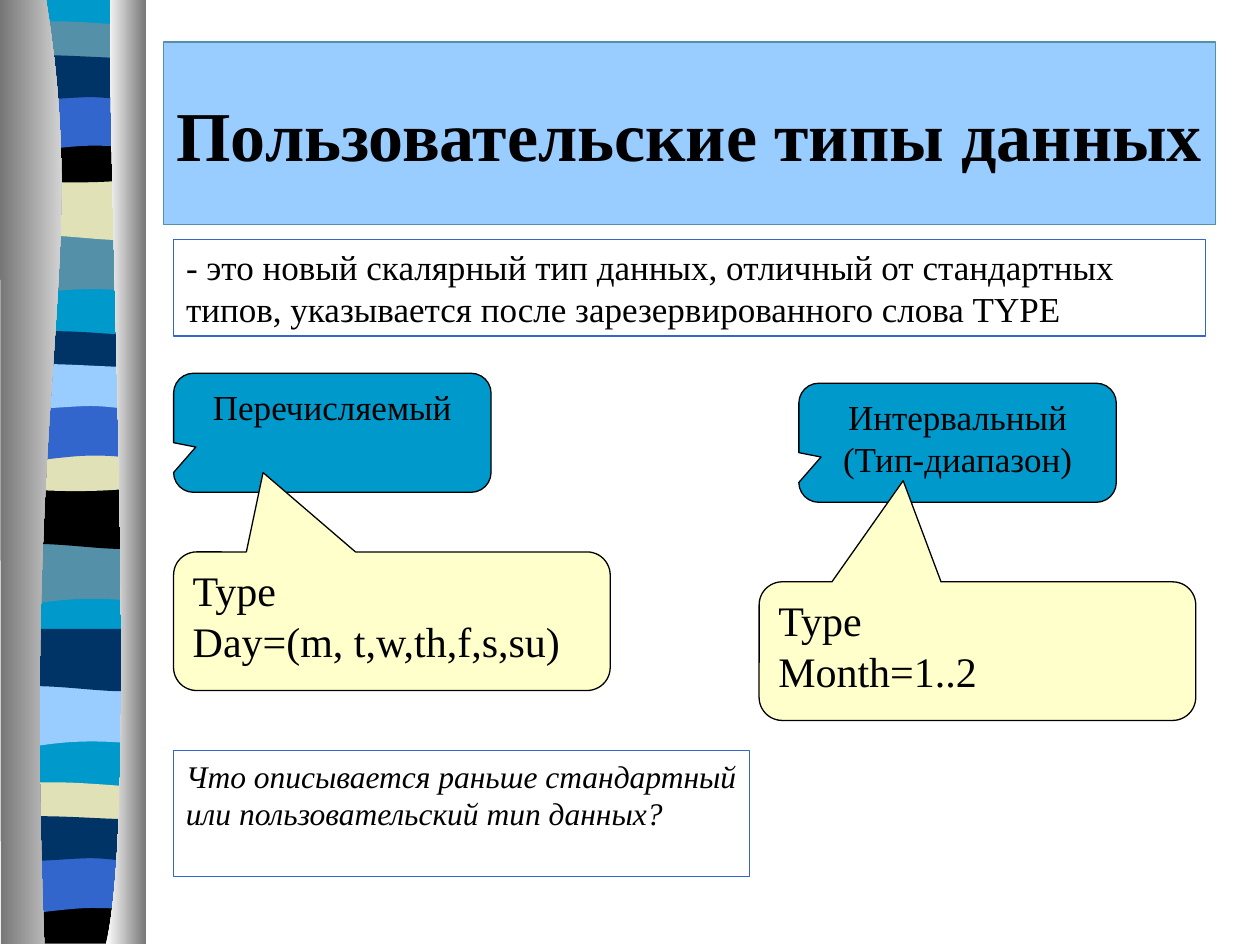
from dataclasses import dataclass

from pptx import Presentation
from pptx.dml.color import RGBColor
from pptx.enum.shapes import MSO_SHAPE as SHAPE
from pptx.enum.text import MSO_ANCHOR as ANCHOR, PP_ALIGN as ALIGN
from pptx.oxml.ns import qn
from pptx.util import Pt


@dataclass(frozen=True)
class Theme:
    font: str = "Times New Roman"
    black: str = "000000"
    navy: str = "003366"
    blue: str = "3366CC"
    cyan: str = "0099CC"
    steel: str = "5490A8"
    sky: str = "99CCFF"
    sand: str = "E1E1B7"
    cream: str = "FFFFCC"
    grey: str = "767676"
    white: str = "FFFFFF"
    title: int = 40
    code: int = 24
    body: int = 20
    question: int = 18


T = Theme()
STRIP_LEFT, STRIP_WIDTH, STRIP_HEIGHT = 4.2, 78, 538.5

# Outlines: a pair is a corner, six numbers are a Bezier curve.
# Each band has its outline, then (top, colour) for each place it is used.
BANDS = [
    ([(78, 0), (78, 34), (24, 28, 13, 39.5, 0, 34), (0, 0)],
     [(133, T.steel), (310, T.steel), (391.5, T.sky)]),
    ([(78, 0), (78, 34), (65, 39.5, 24, 29.5, 0, 34), (0, 0)],
     [(101.5, T.sand), (278, T.black), (359.3, T.navy)]),
    ([(78, 3.6), (78, 21), (65, 24, 13, 24, 0, 21), (0, 3.6),
      (4.5, 0, 16.5, 0.7, 29.5, 0.7), (42.5, 0.7, 68, 3, 78, 3.6)],
     [(11.5, T.steel), (188.6, T.navy), (446.4, T.sand)]),
    ([(78, 0), (78, 23.4), (65, 27.4, 13, 27.4, 0, 23.4), (0, 0),
      (47.5, 3.6, 61, 0, 78, 0)],
     [(77.8, T.black), (254.2, T.sand)]),
    ([(78, 0), (78, 26.7), (0, 26.7), (0, 0), (47.5, 3.6, 61, 0, 78, 0)],
     [(512.6, T.black)]),
    ([(78, 0), (78, 34), (65.5, 30, 60, 30, 47.5, 30),
      (34.5, 30, 11.5, 34, 0, 34), (0, 0)],
     [(53.3, T.blue), (230.4, T.blue), (488.9, T.blue)]),
    ([(78, 3.6), (78, 26), (73, 29.5, 60.5, 26, 47.5, 26),
      (34.5, 26, 8, 29.5, 0, 26), (0, 3.6), (11, 0, 52.5, 3.6, 65.5, 3.6),
      (79, 3.6, 75, 3.6, 78, 3.6)],
     [(29.5, T.navy), (206, T.sky), (464.4, T.navy)]),
]
LEFT_PILLAR = [(26.2, -0.5), (51.8, 155.5, 12.4, 213, 25.3, 539.5),
               (0.5, 539.5), (0, -0.5)]
RIGHT_PILLAR = [(63.3, -0.5), (60.5, 90, 80, 465, 60.5, 539.5),
                (83.6, 539.5), (83.6, 0)]


def rgb(color):
    return RGBColor.from_string(color)


def add_outline(shapes, outline, left=0, top=0):
    """Draw an outline through all its points, then bend the curved parts."""
    points = [(Pt(left + x), Pt(top + y)) for part in outline
              for x, y in zip(part[::2], part[1::2])]
    builder = shapes.build_freeform(*points[0])
    builder.add_line_segments(points[1:], close=True)
    sp = builder.convert_to_shape()
    sp.shadow.inherit = False
    sp.line.fill.background()
    segments = iter(sp._element.xpath(".//a:path/a:lnTo"))
    for part in outline[1:]:
        first = next(segments)
        if len(part) == 6:
            controls = [first, next(segments), next(segments)]
            curve = first.makeelement(qn("a:cubicBezTo"))
            first.addprevious(curve)
            for segment in controls:
                curve.append(segment[0])
                segment.getparent().remove(segment)
    return sp


def paint(sp, color):
    sp.fill.solid()
    sp.fill.fore_color.rgb = rgb(color)


def add_pillar(shapes, outline, colors):
    sp = add_outline(shapes, outline)
    sp.fill.gradient()
    sp.fill.gradient_angle = 0
    for stop, color in zip(sp.fill.gradient_stops, colors):
        stop.color.rgb = rgb(color)


def add_striped_column(shapes):
    w, h = STRIP_WIDTH, STRIP_HEIGHT
    paint(add_outline(shapes, [(w, 0), (w, h), (0, h), (0, 0)],
                      STRIP_LEFT, -0.5), T.cyan)
    for outline, places in BANDS:
        for top, color in places:
            paint(add_outline(shapes, outline, STRIP_LEFT, top), color)
    add_pillar(shapes, LEFT_PILLAR, (T.grey, T.white))
    add_pillar(shapes, RIGHT_PILLAR, (T.white, T.grey))


def add_box(shapes, kind, box, lines, size, fill=None, line=T.blue,
            align=ALIGN.LEFT, bold=False, italic=False):
    sp = shapes.add_shape(kind, *map(Pt, box))
    sp.shadow.inherit = False
    if fill:
        paint(sp, fill)
    else:
        sp.fill.background()
    sp.line.color.rgb = rgb(line)
    sp.line.width = Pt(0.75)
    tf = sp.text_frame
    tf.word_wrap = True
    tf.vertical_anchor = ANCHOR.TOP
    for i, text in enumerate(lines):
        p = tf.paragraphs[0] if i == 0 else tf.add_paragraph()
        p.alignment = align
        r = p.add_run()
        r.text = text
        r.font.name, r.font.size = T.font, Pt(size)
        r.font.bold, r.font.italic = bold, italic
        r.font.color.rgb = rgb(T.black)
    return sp


def add_callout(shapes, box, tip, lines, size, fill, align=ALIGN.LEFT):
    sp = add_box(shapes, SHAPE.ROUNDED_RECTANGULAR_CALLOUT, box, lines, size,
                 fill, T.black, align)
    sp.adjustments[0], sp.adjustments[1] = tip


def add_type_name(shapes, left, top, lines):
    add_callout(shapes, (left, top, 181.4, 68), (-0.43, 0.12), lines,
                T.body, T.cyan, ALIGN.CENTER)


def add_example(shapes, left, top, tip, lines):
    add_callout(shapes, (left, top, 249.5, 79.2), tip, lines, T.code, T.cream)


def main():
    prs = Presentation()
    prs.slide_width, prs.slide_height = Pt(720), Pt(540)
    shapes = prs.slides.add_slide(prs.slide_layouts[6]).shapes

    add_striped_column(shapes)
    title = add_box(shapes, SHAPE.RECTANGLE, (93.5, 24, 601, 104.2),
                    ["Пользовательские типы данных"], T.title,
                    T.sky, T.steel, ALIGN.CENTER, bold=True)
    title.text_frame.word_wrap = False
    title.text_frame.vertical_anchor = ANCHOR.MIDDLE
    add_box(shapes, SHAPE.RECTANGLE, (99.2, 428.8, 329, 72),
            ["Что описывается раньше стандартный или пользовательский тип данных?"],
            T.question, italic=True)
    add_box(shapes, SHAPE.RECTANGLE, (99.2, 136.8, 589.8, 55.2),
            ["- это новый скалярный тип данных, отличный от стандартных типов, "
             "указывается после зарезервированного слова TYPE"], T.body)
    add_type_name(shapes, 456.5, 219, ["Интервальный", "(Тип-диапазон)"])
    add_type_name(shapes, 99.2, 213.3, ["Перечисляемый"])
    add_example(shapes, 99.2, 315.4, (-0.295, -1.073), ["Type", "Day=(m, t,w,th,f,s,su)"])
    add_example(shapes, 433.8, 332.5, (-0.17, -1.23), ["Type", "Month=1..2"])
    prs.save("out.pptx")


if __name__ == "__main__":
    main()
